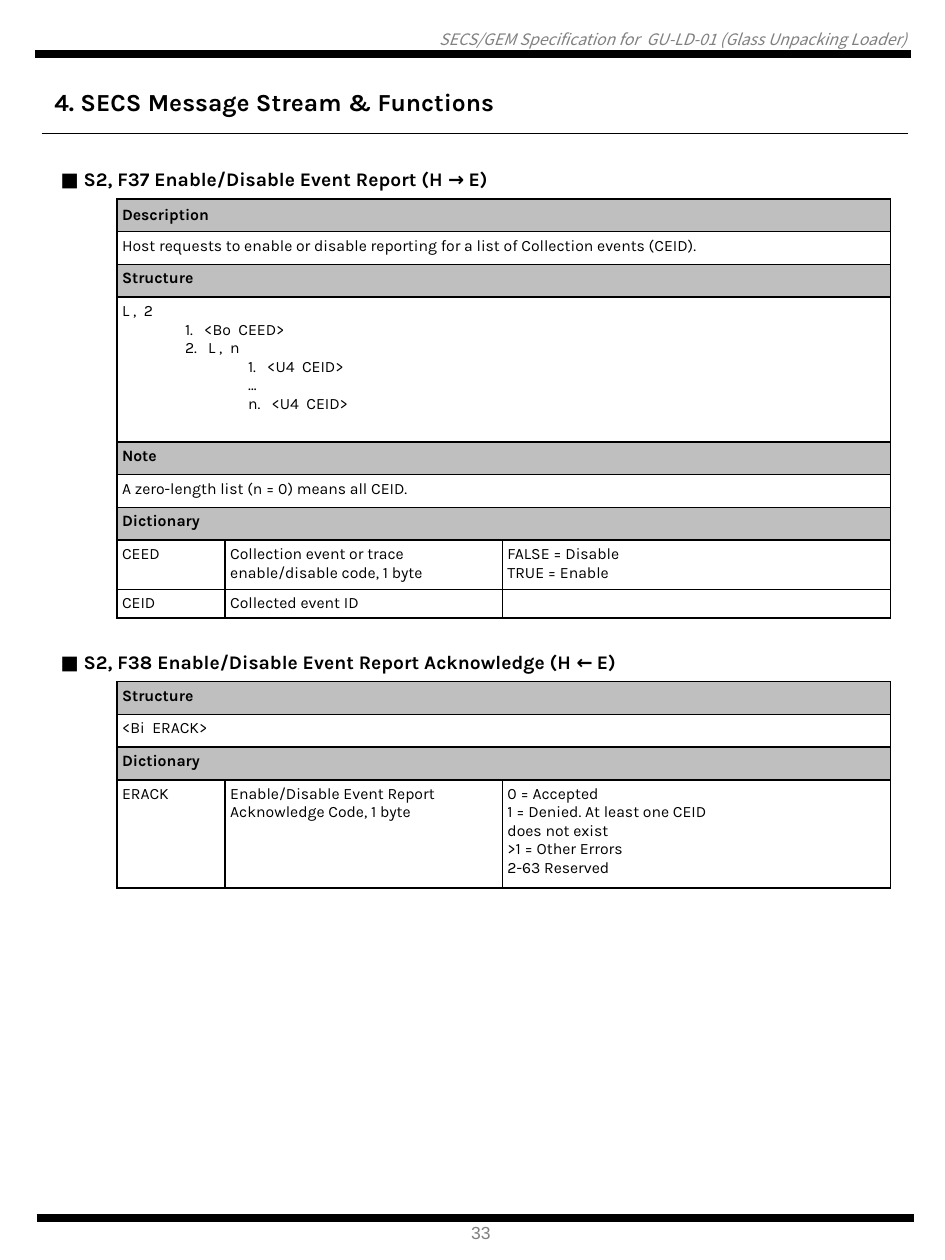
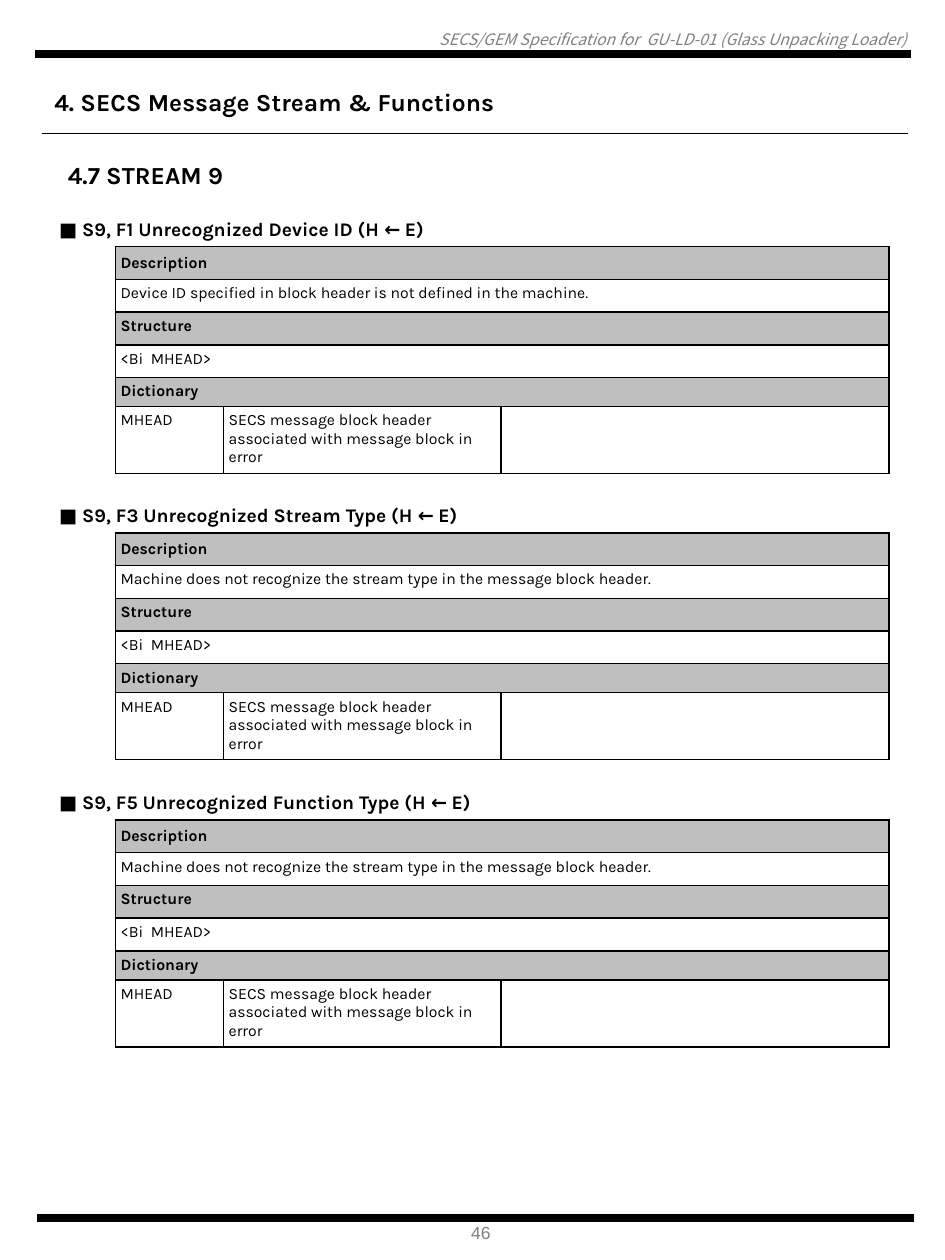
from dataclasses import dataclass

from lxml import etree
from pptx import Presentation
from pptx import util as u
from pptx.dml.color import RGBColor
from pptx.enum import shapes, text
from pptx.oxml import ns

HEADER = "SECS/GEM Specification for  GU-LD-01 (Glass Unpacking Loader)"
CHAPTER = "4. SECS Message Stream & Functions"
BANDS = ("Description", "Structure", "Note", "Dictionary")


def unrecognized(top, heading, description):
    return {
        "top": top,
        "heading": heading,
        "rows": [
            ("Description",),
            (description,),
            ("Structure",),
            ("<Bi  MHEAD>",),
            ("Dictionary",),
            ("MHEAD", "SECS message block header associated with message block in error", ""),
        ],
        "heights": [0.68, 0.66, 0.66, 0.66, 0.66, 0.58, 1.35],
        "margin_merge": 5,
    }


UNKNOWN_TYPE = "Machine does not recognize the stream type in the message block header."

PAGES = [
    {
        "number": "33",
        "section": None,
        "left": 1.12,
        "messages": [
            {
                "top": 3.25,
                "heading": "■ S2, F37 Enable/Disable Event Report (H → E)",
                "rows": [
                    ("Description",),
                    ("Host requests to enable or disable reporting for a list of Collection events (CEID).",),
                    ("Structure",),
                    ("L ,  2\n\t1.   <Bo  CEED>\n\t2.   L ,  n\n"
                     "\t\t1.   <U4  CEID>\n\t\t…\n\t\tn.   <U4  CEID>",),
                    ("Note",),
                    ("A zero-length list (n = 0) means all CEID.",),
                    ("Dictionary",),
                    ("CEED", "Collection event or trace enable/disable code, 1 byte",
                     "FALSE = Disable\nTRUE = Enable"),
                    ("CEID", "Collected event ID", ""),
                ],
                "heights": [0.76, 0.66, 0.66, 0.66, 2.92, 0.66, 0.66, 0.66, 0.99, 0.58],
                "margin_merge": 6,
            },
            {
                "top": 12.98,
                "heading": "■ S2, F38 Enable/Disable Event Report Acknowledge (H ← E)",
                "rows": [
                    ("Structure",),
                    ("<Bi  ERACK>",),
                    ("Dictionary",),
                    ("ERACK", "Enable/Disable Event Report\nAcknowledge Code, 1 byte",
                     "0 = Accepted\n1 = Denied. At least one CEID\ndoes not exist\n"
                     ">1 = Other Errors\n2-63 Reserved"),
                ],
                "heights": [0.76, 0.66, 0.66, 0.66, 2.18],
                "margin_merge": 3,
            },
        ],
    },
    {
        "number": "46",
        "section": "4.7 STREAM 9",
        "left": 1.09,
        "messages": [
            unrecognized(4.29, "■ S9, F1 Unrecognized Device ID (H ← E)",
                         "Device ID specified in block header is not defined in the machine."),
            unrecognized(10.06, "■ S9, F3 Unrecognized Stream Type (H ← E)", UNKNOWN_TYPE),
            unrecognized(15.85, "■ S9, F5 Unrecognized Function Type (H ← E)", UNKNOWN_TYPE),
        ],
    },
]

COLUMNS = [1.24, 2.18, 5.59, 7.82]
CELL_INSET = 0.1


@dataclass(frozen=True)
class Theme:
    ink: str = "000000"
    paper: str = "FFFFFF"
    band: str = "BFBFBF"
    muted: str = "808080"
    body_font: str = "Karla"
    header_font: str = "Noto Sans CJK KR"
    number_font: str = "Arial"
    title: float = 14
    heading: float = 11
    body: float = 9
    number: float = 10
    grid: float = 1
    margin_line: float = 0.75
    bar: float = 4.75


THEME = Theme()


def format_text(frame, size, font=THEME.body_font, color=THEME.ink, bold=False, italic=False):
    for paragraph in frame.paragraphs:
        for run in paragraph.runs:
            run.font.name = font
            run.font.size = u.Pt(size)
            run.font.bold = bold
            run.font.italic = italic
            run.font.color.rgb = RGBColor.from_string(color)
        if not paragraph.runs:
            paragraph._p.get_or_add_endParaRPr().set("sz", str(int(size * 100)))


def place(shape, left, top, width, height):
    shape.left, shape.top = u.Cm(left), u.Cm(top)
    shape.width, shape.height = u.Cm(width), u.Cm(height)


def fit_label(label, wording, box, size, **style):
    place(label, *box)
    frame = label.text_frame
    frame.text = wording
    frame.word_wrap = False
    frame.auto_size = text.MSO_AUTO_SIZE.SHAPE_TO_FIT_TEXT
    frame.vertical_anchor = text.MSO_ANCHOR.TOP
    frame.paragraphs[0].alignment = text.PP_ALIGN.LEFT
    format_text(frame, size, **style)


def add_label(slide, *args, **style):
    fit_label(slide.shapes.add_textbox(0, 0, 0, 0), *args, **style)


def add_rule(slide, start, end, y, weight):
    rule = slide.shapes.add_connector(
        shapes.MSO_CONNECTOR.STRAIGHT, u.Cm(start), u.Cm(y), u.Cm(end), u.Cm(y))
    rule.line.color.rgb = RGBColor.from_string(THEME.ink)
    rule.line.width = u.Pt(weight)
    etree.SubElement(rule._element.spPr, ns.qn("a:effectLst"))


def add_frame(slide, number):
    header = slide.shapes.add_textbox(0, 0, 0, 0)
    place(header, 0.13, 0.61, 18.14, 0.38)
    frame = header.text_frame
    frame.margin_left = frame.margin_right = frame.margin_top = frame.margin_bottom = 0
    frame.word_wrap = True
    frame.text = HEADER
    frame.paragraphs[0].alignment = text.PP_ALIGN.RIGHT
    format_text(frame, THEME.body, THEME.header_font, THEME.muted, italic=True)
    add_rule(slide, 0.71, 18.36, 1.09, THEME.bar)
    add_rule(slide, 0.74, 18.42, 24.56, THEME.bar)
    add_label(slide, number, (9.25, 24.51, 0.94, 0.69), THEME.number,
              font=THEME.number_font, color=THEME.muted)
    fit_label(slide.shapes.title, CHAPTER, (0.84, 1.63, 9.8, 0.86), THEME.title, bold=True)
    add_rule(slide, 0.84, 18.31, 2.69, THEME.margin_line)


def set_borders(cell, sides):
    properties = cell._tc.get_or_add_tcPr()
    for position, side in enumerate("LRTB"):
        color, weight = sides[side]
        line = etree.Element(ns.qn(f"a:ln{side}"), w=str(u.Pt(weight)))
        fill = etree.SubElement(line, ns.qn("a:solidFill"))
        etree.SubElement(fill, ns.qn("a:srgbClr"), val=color)
        properties.insert(position, line)


def style_cell(cell, row, column):
    wording = cell.text_frame.text
    is_heading, is_band = row == 0, wording in BANDS
    cell.margin_left = cell.margin_right = u.Cm(CELL_INSET)
    cell.margin_top = cell.margin_bottom = u.Cm(CELL_INSET)
    centred = is_heading or wording == "Description"
    cell.vertical_anchor = text.MSO_ANCHOR.MIDDLE if centred else text.MSO_ANCHOR.TOP
    format_text(cell.text_frame, THEME.heading if is_heading else THEME.body,
                bold=is_heading or is_band)
    if is_band:
        cell.fill.solid()
        cell.fill.fore_color.rgb = RGBColor.from_string(THEME.band)
    else:
        cell.fill.background()
    if cell.is_spanned:
        return
    grid, blank = (THEME.ink, THEME.grid), (THEME.paper, THEME.margin_line)
    sides = dict.fromkeys("LRTB", blank if is_heading or column == 0 else grid)
    if column == 0 and not is_heading:
        sides["R"] = grid
    set_borders(cell, sides)


def add_message(slide, left, message):
    heights = message["heights"]
    table = slide.shapes.add_table(
        len(heights), len(COLUMNS), u.Cm(left), u.Cm(message["top"]),
        u.Cm(sum(COLUMNS)), u.Cm(sum(heights))).table
    table.first_row = table.horz_banding = False
    for column, width in zip(table.columns, COLUMNS):
        column.width = u.Cm(width)
    for row, height in zip(table.rows, heights):
        row.height = u.Cm(height)

    last_row, last_column = len(heights) - 1, len(COLUMNS) - 1
    table.cell(0, 0).merge(table.cell(0, last_column))
    table.cell(message["margin_merge"], 0).merge(table.cell(last_row, 0))
    table.cell(0, 0).text_frame.text = message["heading"]
    for row, entries in enumerate(message["rows"], 1):
        if len(entries) == 1:
            table.cell(row, 1).merge(table.cell(row, last_column))
        for column, entry in enumerate(entries, 1):
            table.cell(row, column).text_frame.text = entry
    for row in range(len(heights)):
        for column in range(len(COLUMNS)):
            style_cell(table.cell(row, column), row, column)


def main():
    deck = Presentation()
    deck.slide_width, deck.slide_height = u.Cm(19.05), u.Cm(25.4)
    for page in PAGES:
        slide = deck.slides.add_slide(deck.slide_layouts[5])
        add_frame(slide, page["number"])
        if page["section"]:
            add_label(slide, page["section"], (1.12, 3.1, 3.99, 0.86), THEME.title, bold=True)
        for message in page["messages"]:
            add_message(slide, page["left"], message)
    deck.save("out.pptx")


if __name__ == "__main__":
    main()
